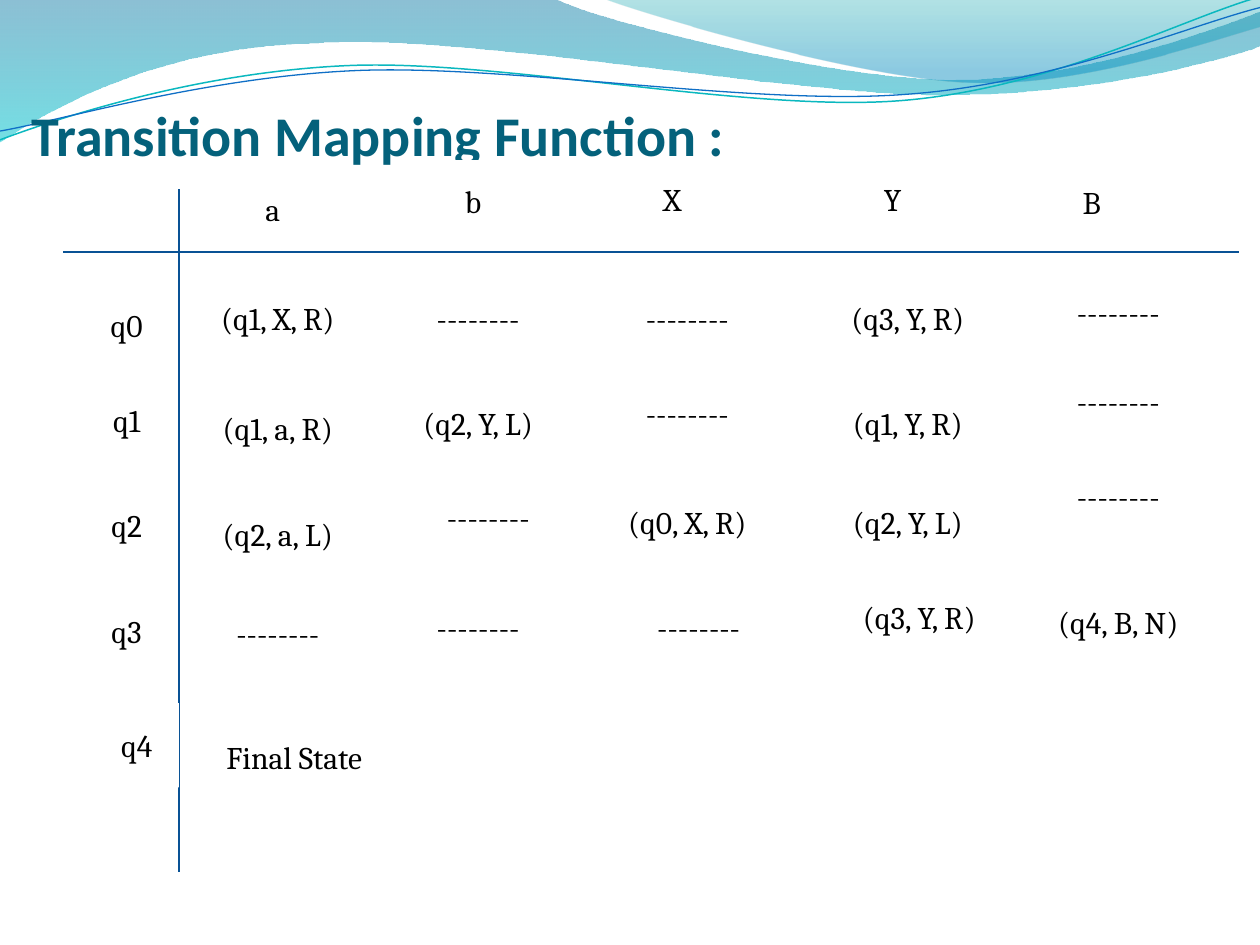
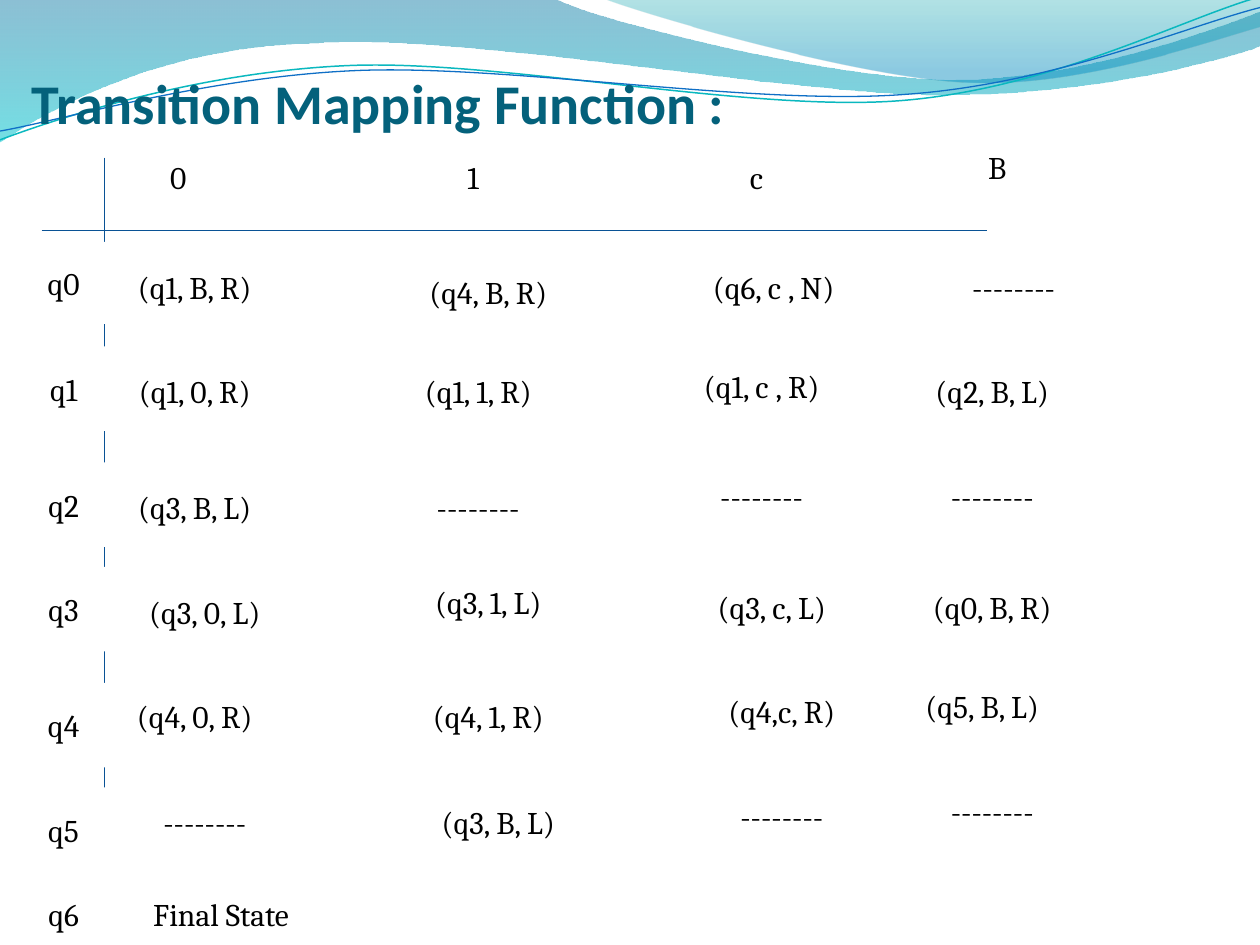
from dataclasses import dataclass
from math import cos, radians, sin
from typing import NamedTuple

from lxml.etree import SubElement
from pptx import Presentation
from pptx.dml.color import RGBColor
from pptx.enum.shapes import MSO_CONNECTOR as Connector, MSO_SHAPE as Preset
from pptx.enum.text import MSO_ANCHOR as Anchor, MSO_AUTO_SIZE as AutoSize, PP_ALIGN as Align
from pptx.oxml.ns import qn
from pptx.util import Inches, Pt

COLORS = {
    "title": "04617B",
    "text": "000000",
    "cell": "FFFFFF",
    "axis": "095295",
    "deep_blue": "0074A1",
    "cyan": "00C6CF",
    "teal": "00A1A9",
    "sky": "008BBF",
    "teal_line": "0AB8BF",
    "blue_line": "0F6FC6",
}
TITLE = "Transition Mapping Function :"
NONE = "--------"
HEADER_INDENT = 0.25
LINE_TILT = -2.7
LINE_PIVOT = (4.99, 0.58)


class Size(NamedTuple):
    width: float
    height: float


HEADER = Size(0.67, 0.65)
LABEL = Size(0.67, 0.67)
ENTRY = Size(1.25, 0.71)
WIDE_ENTRY = Size(1.4, 0.71)
FINAL = Size(1.51, 0.67)


class Stop(NamedTuple):
    position: float
    color: str
    opacity: int


class Cell(NamedTuple):
    text: str
    dx: float = 0
    dy: float = 0
    size: Size = ENTRY


@dataclass
class Row:
    label: Cell
    label_top: float
    top: float
    cells: list[Cell]
    label_size: Size = LABEL


@dataclass
class TransitionTable:
    title_top: float
    across: tuple[float, float, float]
    down: tuple[float, float, float]
    label_left: float
    columns: list[float]
    header_top: float
    headers: list[Cell]
    rows: list[Row]


@dataclass
class Wave:
    start: tuple[float, float]
    segments: list[tuple[float, ...]]
    stops: tuple[Stop, ...] = ()
    line: str = ""
    weight: float = 0


WAVES = [
    Wave((0, 0), [
        (4.4, -0.01),
        (4.76, 0.17, 6.64, 0.63, 7.58, 0.63),
        (8.53, 0.63, 9.58, 0.26, 10, 0.09),
        (10.01, 0.36),
        (9.83, 0.44, 8.7, 0.76, 7.46, 0.75),
        (6.22, 0.75, 3.82, 0.28, 2.57, 0.34),
        (1.29, 0.36, 0.46, 0.83, -0.01, 1.13),
        (0, 0),
    ], stops=(Stop(0, "deep_blue", 45), Stop(1, "cyan", 55))),
    Wave((4.79, -0.01), [
        (5.09, 0.11, 6.82, 0.62, 7.69, 0.65),
        (8.56, 0.69, 9.61, 0.32, 10, 0.21),
        (10, 0),
        (4.79, -0.01),
    ], stops=(Stop(0, "teal", 30), Stop(0.8, "sky", 45))),
    Wave((0, 1.11), [
        (0.48, 0.93, 1.58, 0.57, 2.77, 0.52),
        (3.95, 0.47, 5.93, 0.89, 7.13, 0.8),
        (8.33, 0.71, 9.38, 0.15, 9.98, -0.02),
    ], line="teal_line", weight=0.85),
    Wave((0, 1.04), [
        (0.47, 0.96, 1.64, 0.61, 2.83, 0.56),
        (4.03, 0.51, 5.97, 0.84, 7.17, 0.75),
        (8.36, 0.67, 9.41, 0.21, 10, 0.06),
    ], line="blue_line", weight=0.75),
]

TABLES = [
    TransitionTable(
        title_top=0.08, across=(0.5, 9.83, 2), down=(1.5, 6.92, 1.42),
        label_left=0.67, columns=[1.58, 3.17, 4.83, 6.58, 8.25], header_top=1.25,
        headers=[Cell("a", 0, 0.08), Cell("b", 0, 0.02), Cell("X", -0.08),
                 Cell("Y", -0.08), Cell("B", -0.17, 0.03)],
        rows=[
            Row(Cell("q0"), 2.25, 2.17, [
                Cell("(q1, X, R)"), Cell(NONE), Cell(NONE),
                Cell("(q3, Y, R)"), Cell(NONE, 0, -0.05)], HEADER),
            Row(Cell("q1"), 3, 3, [
                Cell("(q1, a, R)", 0, 0.04), Cell("(q2, Y, L)"), Cell(NONE, 0, -0.08),
                Cell("(q1, Y, R)"), Cell(NONE, 0, -0.17)]),
            Row(Cell("q2"), 3.83, 3.79, [
                Cell("(q2, a, L)", 0, 0.09), Cell(NONE, 0.08, -0.04), Cell("(q0, X, R)"),
                Cell("(q2, Y, L)"), Cell(NONE, 0, -0.21)]),
            Row(Cell("q3"), 4.67, 4.62, [
                Cell(NONE, 0, 0.05), Cell(NONE), Cell(NONE, 0.09),
                Cell("(q3, Y, R)", 0.09, -0.08), Cell("(q4, B, N)", 0, -0.04)]),
            Row(Cell("q4", 0.08), 5.58, 5.67, [Cell("Final State", size=FINAL)]),
        ],
    ),
    TransitionTable(
        title_top=-0.17, across=(0.33, 7.83, 1.83), down=(1.25, 7.58, 0.83),
        label_left=0.17, columns=[0.92, 3.17, 5.42, 7.25], header_top=1.08,
        headers=[Cell("0", -0.09), Cell("1"), Cell("c"), Cell("B", 0.08, -0.08)],
        rows=[
            Row(Cell("q0"), 1.92, 1.92, [
                Cell("(q1, B, R)"), Cell("(q4, B, R)", 0.08, 0.04),
                Cell("(q6, c , N)", 0.02, 0, WIDE_ENTRY), Cell(NONE, 0.17)], HEADER),
            Row(Cell("q1"), 2.75, 2.75, [
                Cell("(q1, 0, R)"), Cell("(q1, 1, R)"),
                Cell("(q1, c , R)", 0, -0.04), Cell("(q2, B, L)")]),
            Row(Cell("q2"), 3.67, 3.67, [
                Cell("(q3, B, L)"), Cell(NONE),
                Cell(NONE, 0, -0.09), Cell(NONE, 0, -0.09)]),
            Row(Cell("q3"), 4.5, 4.5, [
                Cell("(q3, 0, L)", 0.08), Cell("(q3, 1, L)", 0.08, -0.08),
                Cell("(q3, c, L)", 0.08, -0.04), Cell("(q0, B, R)", 0, -0.04)]),
            Row(Cell("q4"), 5.42, 5.33, [
                Cell("(q4, 0, R)"), Cell("(q4, 1, R)", 0.08),
                Cell("(q4,c, R)", 0.16, -0.04), Cell("(q5, B, L)", -0.08, -0.08)]),
            Row(Cell("q5"), 6.25, 6.17, [
                Cell(NONE, 0.08), Cell("(q3, B, L)", 0.16),
                Cell(NONE, 0.16, -0.05), Cell(NONE, 0, -0.09)]),
            Row(Cell("q6"), 6.92, 6.92, [Cell("Final State", 0.08, size=FINAL)]),
        ],
    ),
]


def rgb(name: str) -> RGBColor:
    return RGBColor.from_string(COLORS[name])


def add_run(para, text: str, font: str, size: float, color: str, bold: bool = False) -> None:
    span = para.add_run()
    span.text = text
    span.font.name = font
    span.font.size = Pt(size)
    span.font.bold = bold
    span.font.color.rgb = rgb(color)


def level(point: tuple[float, float]) -> tuple[float, float]:
    angle = radians(-LINE_TILT)
    x, y = point[0] - LINE_PIVOT[0], point[1] - LINE_PIVOT[1]
    return (LINE_PIVOT[0] + x * cos(angle) - y * sin(angle),
            LINE_PIVOT[1] + x * sin(angle) + y * cos(angle))


def bend_segments(shape, wave: Wave) -> None:
    steps = list(shape.element.iter(qn("a:lnTo")))
    for segment in wave.segments:
        count = len(segment) // 2
        group, steps = steps[:count], steps[count:]
        if count == 3:
            curve = group[0].makeelement(qn("a:cubicBezTo"))
            group[0].addprevious(curve)
            for step in group:
                curve.append(step[0])
                step.getparent().remove(step)


def draw_wave(page, layout, wave: Wave) -> None:
    points = [wave.start] + [segment[i:i + 2] for segment in wave.segments
                             for i in range(0, len(segment), 2)]
    if wave.line:
        points = [level(point) for point in points]
    start, *others = [(Inches(x), Inches(y)) for x, y in points]
    builder = page.shapes.build_freeform(*start)
    builder.add_line_segments(others, close=bool(wave.stops))
    shape = builder.convert_to_shape()
    bend_segments(shape, wave)
    shape.shadow.inherit = False
    if wave.stops:
        shape.line.fill.background()
        shape.fill.gradient()
        shape.fill.gradient_angle = 270
        for target, stop in zip(shape.fill.gradient_stops, wave.stops):
            target.position = stop.position
            target.color.rgb = rgb(stop.color)
        for color, stop in zip(shape.element.iter(qn("a:srgbClr")), wave.stops):
            SubElement(color, qn("a:alpha")).set("val", str(stop.opacity * 1000))
    else:
        shape.rotation = LINE_TILT
        shape.fill.background()
        shape.line.color.rgb = rgb(wave.line)
        shape.line.width = Pt(wave.weight)
    layout.shapes.element.append(shape.element)


def draw_title(page, top: float) -> None:
    title = page.shapes.title
    title.left, title.top = Inches(0.25), Inches(top)
    title.width, title.height = Inches(9), Inches(1.25)
    frame = title.text_frame
    frame.auto_size = AutoSize.NONE
    frame.vertical_anchor = Anchor.BOTTOM
    frame.margin_left = frame.margin_right = frame.margin_bottom = 0
    frame.margin_top = Inches(0.05)
    para = frame.paragraphs[0]
    para.alignment = Align.LEFT
    add_run(para, TITLE, "Calibri", 32, "title", bold=True)


def draw_axis(page, x1: float, y1: float, x2: float, y2: float) -> None:
    axis = page.shapes.add_connector(
        Connector.STRAIGHT, Inches(x1), Inches(y1), Inches(x2), Inches(y2))
    axis.line.color.rgb = rgb("axis")
    axis.line.width = Pt(0.75)
    SubElement(axis.element.spPr, qn("a:effectLst"))


def draw_cell(page, cell: Cell, left: float, top: float, size: Size) -> None:
    box = page.shapes.add_shape(
        Preset.RECTANGLE, Inches(left + cell.dx), Inches(top + cell.dy),
        Inches(size.width), Inches(size.height))
    box.shadow.inherit = False
    box.fill.solid()
    box.fill.fore_color.rgb = rgb("cell")
    box.line.fill.background()
    frame = box.text_frame
    frame.word_wrap = True
    frame.vertical_anchor = Anchor.MIDDLE
    para = frame.paragraphs[0]
    para.alignment = Align.CENTER
    add_run(para, cell.text, "Cambria", 18, "text")


def draw_table(page, table: TransitionTable) -> None:
    left, right, y = table.across
    draw_axis(page, left, y, right, y)
    top, bottom, x = table.down
    draw_axis(page, x, top, x, bottom)
    for header, column in zip(table.headers, table.columns):
        draw_cell(page, header, column + HEADER_INDENT, table.header_top, HEADER)
    for row in table.rows:
        draw_cell(page, row.label, table.label_left, row.label_top, row.label_size)
        for cell, column in zip(row.cells, table.columns):
            draw_cell(page, cell, column, row.top, cell.size)


deck = Presentation()
deck.slide_width, deck.slide_height = Inches(10), Inches(7.5)
title_only = deck.slide_layouts[5]
pages = [deck.slides.add_slide(title_only) for _ in TABLES]
for wave in WAVES:
    draw_wave(pages[0], title_only, wave)
for page, table in zip(pages, TABLES):
    draw_title(page, table.title_top)
    draw_table(page, table)
deck.save("out.pptx")
